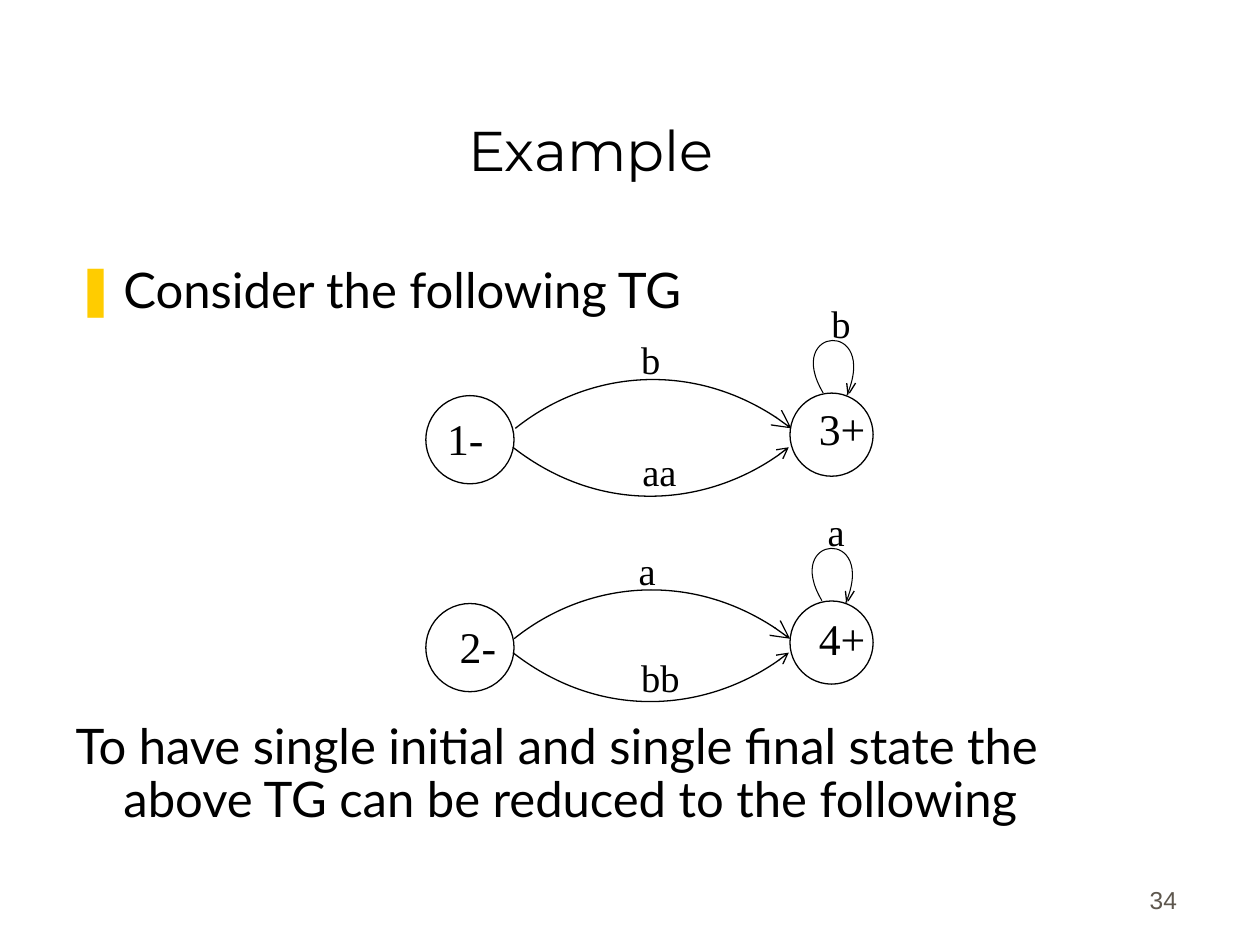
from lxml.etree import SubElement
from pptx import Presentation
from pptx.dml.color import RGBColor
from pptx.enum.shapes import MSO_SHAPE as Preset
from pptx.enum.text import MSO_ANCHOR as Anchor, MSO_AUTO_SIZE as AutoSize, PP_ALIGN as Align
from pptx.oxml.ns import qn
from pptx.util import Inches, Pt

COLORS = {"ink": "000000", "paper": "FFFFFF", "bullet": "FFCC00", "number": "5E574E"}
SERIF = "Times New Roman"
TITLE = "Example"
INTRO = "Consider the following TG"
CONCLUSION = ("To have single initial and single final state the "
              "above TG can be reduced to the following")
PAGE_NUMBER = "34"

UPPER_CURVE = [(4.09, 0.29), (4.65, -0.16), (5.56, -0.27), (6.28, 0.29)]
LOWER_CURVE = [(6.26, 0.43), (5.7, 0.88), (4.79, 0.99), (4.07, 0.43)]
LOOP_CURVE = [(6.56, 0), (6.2, -0.5), (6.95, -0.62), (6.75, 0)]
LOOP_BARBS = [[(6.74, 0), (6.79, -0.08)], [(6.72, -0.08), (6.73, 0.01)]]

MACHINES = [
    {"top": 3.12, "shift": 0, "upper": 0, "lower": 0,
     "states": [("1-", 3.45, 3.22), ("3+", 6.4, 3.14)],
     "labels": [("b", 4.99, 2.62, 0.41), ("aa", 5, 3.51, 0.49), ("b", 6.5, 2.33, 0.41)]},
    {"top": 4.77, "shift": -0.01, "upper": 0.02, "lower": -0.02,
     "states": [("2-", 3.55, 4.87), ("4+", 6.4, 4.81)],
     "labels": [("a", 4.97, 4.29, 0.41), ("bb", 4.99, 5.14, 0.59), ("a", 6.47, 3.98, 0.41)]},
]


def color(name):
    return RGBColor.from_string(COLORS[name])


def write(para, text, font=SERIF, size=22, ink="ink", align=Align.LEFT):
    para.alignment = align
    span = para.add_run()
    span.text = text
    span.font.name = font
    span.font.size = Pt(size)
    span.font.color.rgb = color(ink)


def place(shape, left, top, width, height):
    shape.left, shape.top = Inches(left), Inches(top)
    shape.width, shape.height = Inches(width), Inches(height)


def add_label(page, text, left, top, width, height=0.42, anchor=Anchor.TOP, **style):
    box = page.shapes.add_textbox(Inches(left), Inches(top), Inches(width), Inches(height))
    box.text_frame.word_wrap = True
    box.text_frame.vertical_anchor = anchor
    write(box.text_frame.paragraphs[0], text, **style)


def add_state(page, left, top, size):
    state = page.shapes.add_shape(
        Preset.OVAL, Inches(left), Inches(top), Inches(size), Inches(size))
    state.shadow.inherit = False
    state.fill.solid()
    state.fill.fore_color.rgb = color("paper")
    state.line.color.rgb = color("ink")
    state.line.width = Pt(0.75)


def bend(outline):
    track = outline._element.find(".//" + qn("a:path"))
    curve = SubElement(track, qn("a:cubicBezTo"))
    for segment in track.findall(qn("a:lnTo")):
        curve.append(segment[0])
        track.remove(segment)


def add_outline(page, points, left, top, width=0.75, turn=0, arrow=None, size="med"):
    spots = [(Inches(left + x), Inches(top + y)) for x, y in points]
    builder = page.shapes.build_freeform(*spots[0])
    builder.add_line_segments(spots[1:], close=False)
    outline = builder.convert_to_shape()
    if len(points) == 4:
        bend(outline)
    outline.rotation = turn
    outline.shadow.inherit = False
    outline.fill.background()
    outline.line.color.rgb = color("ink")
    outline.line.width = Pt(width)
    if arrow:
        SubElement(outline.line._get_or_add_ln(), qn(arrow), type="arrow", w=size, len=size)


def add_machine(page, machine):
    top, shift = machine["top"], machine["shift"]
    add_state(page, 3.38, top + 0.02, 0.7)
    add_state(page, 6.27, top, 0.66)
    add_outline(page, UPPER_CURVE, shift, top + machine["upper"] - 0.01,
                arrow="a:tailEnd", size="lg")
    add_outline(page, LOWER_CURVE, 0, top + machine["lower"], arrow="a:headEnd")
    add_outline(page, LOOP_CURVE, shift, top, width=0.6, turn=5)
    for barb in LOOP_BARBS:
        add_outline(page, barb, shift, top)
    for text, left, label_top in machine["states"]:
        add_label(page, text, left, label_top, 1.02, size=25)
    for text, left, label_top, width in machine["labels"]:
        add_label(page, text, left, label_top, width)


def add_body(page):
    body = page.placeholders[1]
    place(body, 0.5, 2.06, 8.94, 4.56)
    frame = body.text_frame
    frame.auto_size = AutoSize.NONE
    frame.vertical_anchor = Anchor.TOP
    for para, text, before in [(frame.paragraphs[0], INTRO, 0),
                               (frame.add_paragraph(), CONCLUSION, 230.5)]:
        para.line_spacing = 0.9
        para.space_before = Pt(before)
        props = para._p.get_or_add_pPr()
        props.set("marL", str(Inches(0.38)))
        props.set("indent", str(-Inches(0.38)))
        if text == INTRO:
            tint = SubElement(props, qn("a:buClr"))
            SubElement(tint, qn("a:srgbClr"), val=COLORS["bullet"])
            SubElement(props, qn("a:buChar"), char="❚")
        else:
            SubElement(props, qn("a:buNone"))
        write(para, text, font="Lato", size=28)


def main():
    deck = Presentation()
    deck.slide_width, deck.slide_height = Inches(10), Inches(7.5)
    page = deck.slides.add_slide(deck.slide_layouts[1])
    title = page.shapes.title
    place(title, 0.44, 0.25, 8.5, 1.25)
    title.text_frame.vertical_anchor = Anchor.BOTTOM
    write(title.text_frame.paragraphs[0], TITLE, font="Montserrat", size=32, align=Align.CENTER)
    add_body(page)
    for machine in MACHINES:
        add_machine(page, machine)
    add_label(page, PAGE_NUMBER, 7.36, 6.81, 2.08, 0.5, anchor=Anchor.BOTTOM,
              font="Arial", size=14, ink="number", align=Align.RIGHT)
    deck.save("out.pptx")


if __name__ == "__main__":
    main()
